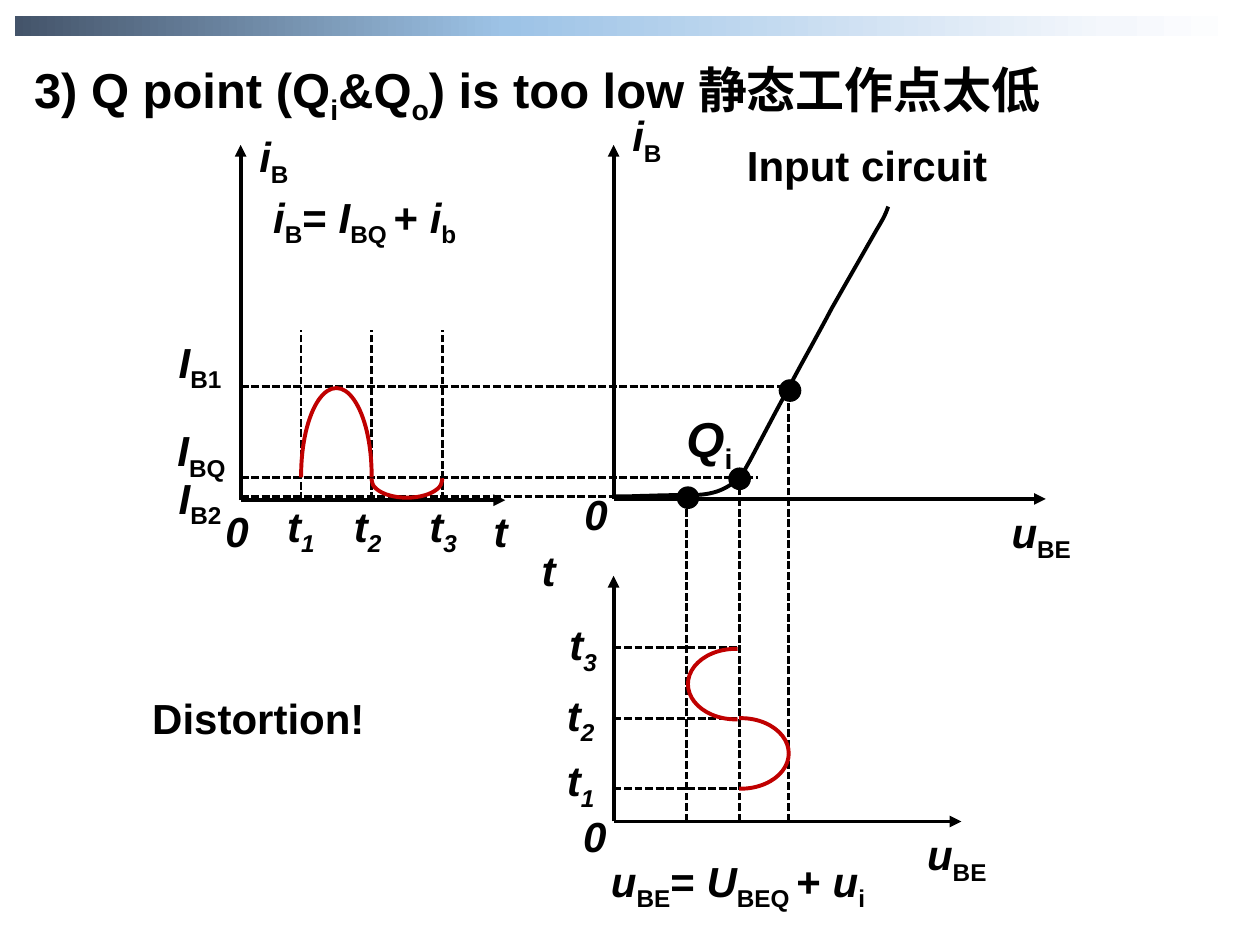
from lxml.etree import SubElement
from pptx import Presentation
from pptx.dml.color import RGBColor
from pptx.enum.dml import MSO_LINE
from pptx.enum.shapes import MSO_CONNECTOR, MSO_SHAPE
from pptx.enum.text import MSO_ANCHOR, MSO_AUTO_SIZE, PP_ALIGN
from pptx.oxml.ns import qn
from pptx.util import Inches, Pt

THEME = {
    "ink": RGBColor.from_string("000000"),
    "wave": RGBColor.from_string("C00000"),
    "bar": [(0, "44546A"), (40, "9DC3E6"), (89, "F4F7FC"), (100, "FFFFFF")],
    "latin": "Arial", "chinese": "Noto Sans CJK SC",
    "heading": Pt(28), "label": Pt(24),
    "solid": Pt(2.25), "dashed": Pt(1.5),
}
WIDTH, HEIGHT, COLUMNS = Inches(10), Inches(7.5), 100
CELL = WIDTH / COLUMNS

PLAIN, VAR, SUB, VAR_SUB, CHINESE = "plain", "var", "sub", "var_sub", "chinese"
TITLE = [("3) Q point (Q", PLAIN), ("i", SUB), ("&Q", PLAIN), ("o", SUB),
         (") is too low ", PLAIN), ("静态工作点太低", CHINESE)]
BASE_CURRENT = [("i", VAR), ("B", SUB)]
INPUT_VOLTAGE = [("u", VAR), ("BE", SUB)]
TIME, ORIGIN = [("t", VAR)], [("0", VAR)]
CURRENT_SUM = BASE_CURRENT + [("=", PLAIN), (" I", VAR), ("BQ ", SUB),
                              ("+ ", PLAIN), ("i", VAR), ("b", SUB)]
VOLTAGE_SUM = INPUT_VOLTAGE + [("= ", PLAIN), ("U", VAR), ("BEQ ", SUB),
                               ("+ ", PLAIN), ("u", VAR), ("i", SUB)]

LEFT_AXIS, RIGHT_AXIS = 19.1, 48.7
TOP_BASE, LOW_BASE, AXIS_TOP = 39.6, 65.2, 11.5
HALF_PERIOD = 5.6
CURRENT_TIMES = [23.9 + HALF_PERIOD * n for n in range(3)]
VOLTAGE_TIMES = [62.6 - HALF_PERIOD * n for n in range(3)]
PEAK, QUIESCENT, TROUGH = 30.7, 37.9, 39.4
U_LOW, U_QUIESCENT, U_HIGH = 54.5, 58.7, 62.6
DOT = 1.8

AXES = [
    (RIGHT_AXIS, TOP_BASE, RIGHT_AXIS, AXIS_TOP), (RIGHT_AXIS, TOP_BASE, 83, TOP_BASE),
    (RIGHT_AXIS, LOW_BASE, RIGHT_AXIS, 45.7), (RIGHT_AXIS, LOW_BASE, 76.3, LOW_BASE),
    (LEFT_AXIS, 39.7, LEFT_AXIS, AXIS_TOP), (LEFT_AXIS, 39.7, 40.1, 39.7),
]
GUIDES = (
    [(LEFT_AXIS, row, end, row) for row, end in
     [(PEAK, U_HIGH), (QUIESCENT, 60.2), (TROUGH, 53.9)]]
    + [(column, LOW_BASE, column, end) for column, end in
       [(U_LOW, 40.4), (U_QUIESCENT, 38.9), (U_HIGH, 30.5)]]
    + [(RIGHT_AXIS, row, U_QUIESCENT, row) for row in VOLTAGE_TIMES]
    + [(column, 39.7, column, 26.2) for column in CURRENT_TIMES]
)
DOTS = [(U_QUIESCENT, 38), (62.7, 31), (54.6, 39.5)]
ARCS = [
    (23.9, 30.8, 5.6, 13.9, 0, None), (29.5, 36.7, 5.6, 2.8, 0, "flipV"),
    (55.6, 50.5, 5.6, 7.6, 270, "flipH"), (56, 56, 5.6, 7.6, 90, None),
]
CURVE_START = (48.9, 39.4)
CURVE = [
    [(50.6, 39.4), (52.2, 39.3), (53.9, 39.3)],
    [(55.2, 39.3), (55.8, 39.3), (56.6, 39.1)],
    [(57.4, 38.9), (58, 38.5), (58.5, 38.1)],
    [(59, 37.7), (58.8, 37.8), (59.5, 36.6)],
    [(60.2, 35.3), (61.6, 32.6), (62.7, 30.6)],
    [(63.8, 28.5), (64.9, 26.6), (66, 24.5)],
    [(67.2, 22.4), (68.8, 19.6), (69.6, 18.2)],
    [(70.4, 16.9), (70.4, 16.6), (70.5, 16.4)],
]


def time_mark(number):
    return [("t", VAR), (str(number), VAR_SUB)]


LABELS = [
    (47.5, 67.4, 26.1, VOLTAGE_SUM), (20.7, 14.7, 20, CURRENT_SUM),
    (49.2, 8.2, 5.5, BASE_CURRENT), (19.6, 9.9, 5.5, BASE_CURRENT),
    (79.3, 39.7, 8.3, INPUT_VOLTAGE), (72.6, 65.3, 8.3, INPUT_VOLTAGE),
    (42, 42.7, 5.5, TIME), (38.2, 39.6, 4.7, TIME),
    (45.3, 63.8, 5.5, ORIGIN), (45.4, 38.3, 5.5, ORIGIN), (16.9, 39.6, 5.5, ORIGIN),
    (11.1, 54.5, 20.5, [("Distortion!", PLAIN)]),
    (58.3, 10.6, 22.6, [("Input circuit", PLAIN)]),
]
LABELS += [(column, row, 7.5, [("I", VAR), (name, SUB)]) for column, row, name in
           [(13.2, 26.2, "B1"), (13.1, 33.2, "BQ"), (13.2, 37, "B2")]]
LABELS += [(column, 39.2, 5.5, time_mark(n))
           for n, column in enumerate((21.8, 27.1, 33.1), 1)]
LABELS += [(column, row, 5.5, time_mark(n))
           for n, (column, row) in enumerate([(44, 59.4), (44, 54.2), (44.2, 48.6)], 1)]


def cells(*lengths):
    return [round(length * CELL) for length in lengths]


def set_all(target, values):
    for name, value in values.items():
        setattr(target, name, value)


def write(shape, runs, size):
    frame = shape.text_frame
    set_all(frame, {"word_wrap": True, "auto_size": MSO_AUTO_SIZE.NONE,
                    "vertical_anchor": MSO_ANCHOR.TOP,
                    "margin_left": Inches(0.1), "margin_right": Inches(0.1),
                    "margin_top": Inches(0.05), "margin_bottom": Inches(0.05)})
    paragraph = frame.paragraphs[0]
    paragraph.alignment = PP_ALIGN.LEFT
    for text, style in runs:
        run = paragraph.add_run()
        run.text = text
        face = THEME["chinese" if style == CHINESE else "latin"]
        set_all(run.font, {"name": face, "size": size, "bold": True,
                           "italic": style in (VAR, VAR_SUB)})
        run.font.color.rgb = THEME["ink"]
        properties = run._r.get_or_add_rPr()
        if style in (SUB, VAR_SUB):
            properties.set("baseline", "-25000")
        if style == CHINESE:
            SubElement(properties, qn("a:ea")).set("typeface", face)


def stroke(shape, color, width):
    shape.line.color.rgb = THEME[color]
    shape.line.width = THEME[width]


def add_line(shapes, ends, arrow):
    line = shapes.add_connector(MSO_CONNECTOR.STRAIGHT, *cells(*ends))
    stroke(line, "ink", "solid" if arrow else "dashed")
    if arrow:
        SubElement(line.line._get_or_add_ln(), qn("a:tailEnd")).set("type", "triangle")
    else:
        line.line.dash_style = MSO_LINE.SQUARE_DOT
    SubElement(line._element.spPr, qn("a:effectLst"))


def add_plain(shapes, kind, box):
    shape = shapes.add_shape(kind, *cells(*box))
    shape.shadow.inherit = False
    return shape


def add_bar(shapes):
    bar = add_plain(shapes, MSO_SHAPE.RECTANGLE, (1.2, 1.3, 97.6, 1.6))
    bar.line.fill.background()
    bar.fill.gradient()
    bar.fill.gradient_angle = 0
    stops = bar._element.spPr.find(".//" + qn("a:gsLst"))
    stops.clear()
    for position, color in THEME["bar"]:
        stop = SubElement(stops, qn("a:gs"), pos=str(position * 1000))
        SubElement(stop, qn("a:srgbClr"), val=color)


def add_arc(shapes, left, top, width, height, rotation, flip):
    arc = add_plain(shapes, MSO_SHAPE.ARC, (left, top, width, height))
    arc.adjustments[0], arc.adjustments[1] = 106.3, 1.73
    arc.rotation = rotation
    arc.fill.background()
    stroke(arc, "wave", "solid")
    if flip:
        arc._element.spPr.find(qn("a:xfrm")).set(flip, "1")


def bezier(start, first, second, end, steps=8):
    for step in range(1, steps + 1):
        t = step / steps
        weights = (1 - t) ** 3, 3 * t * (1 - t) ** 2, 3 * t * t * (1 - t), t ** 3
        yield tuple(sum(w * p for w, p in zip(weights, axis))
                    for axis in zip(start, first, second, end))


def add_curve(shapes):
    points, start = [], CURVE_START
    for segment in CURVE:
        points += bezier(start, *segment)
        start = segment[-1]
    builder = shapes.build_freeform(*cells(*CURVE_START))
    builder.add_line_segments([cells(*point) for point in points], close=False)
    curve = builder.convert_to_shape()
    curve.shadow.inherit = False
    curve.fill.background()
    stroke(curve, "ink", "solid")


def main():
    presentation = Presentation()
    set_all(presentation, {"slide_width": WIDTH, "slide_height": HEIGHT})
    slide = presentation.slides.add_slide(presentation.slide_layouts[5])
    shapes = slide.shapes
    add_bar(shapes)
    title = shapes.title
    set_all(title, dict(zip(("left", "top", "width", "height"), cells(1.7, 4.2, 82, 11))))
    write(title, TITLE, THEME["heading"])
    for ends in GUIDES:
        add_line(shapes, ends, arrow=False)
    for ends in AXES:
        add_line(shapes, ends, arrow=True)
    for arc in ARCS:
        add_arc(shapes, *arc)
    add_curve(shapes)
    for column, row in DOTS:
        dot = add_plain(shapes, MSO_SHAPE.OVAL, (column - DOT / 2, row - DOT / 2, DOT, DOT))
        dot.fill.solid()
        dot.fill.fore_color.rgb = THEME["ink"]
        dot.line.fill.background()
    for column, row, width, runs in LABELS:
        height = 5.9 if len(runs) > 1 else 5
        write(shapes.add_textbox(*cells(column, row, width, height)), runs, THEME["label"])
    write(shapes.add_textbox(*cells(53.5, 31.9, 6.7, 6.7)),
          [("Q", VAR), ("i", SUB)], THEME["heading"])
    presentation.save("out.pptx")


if __name__ == "__main__":
    main()
